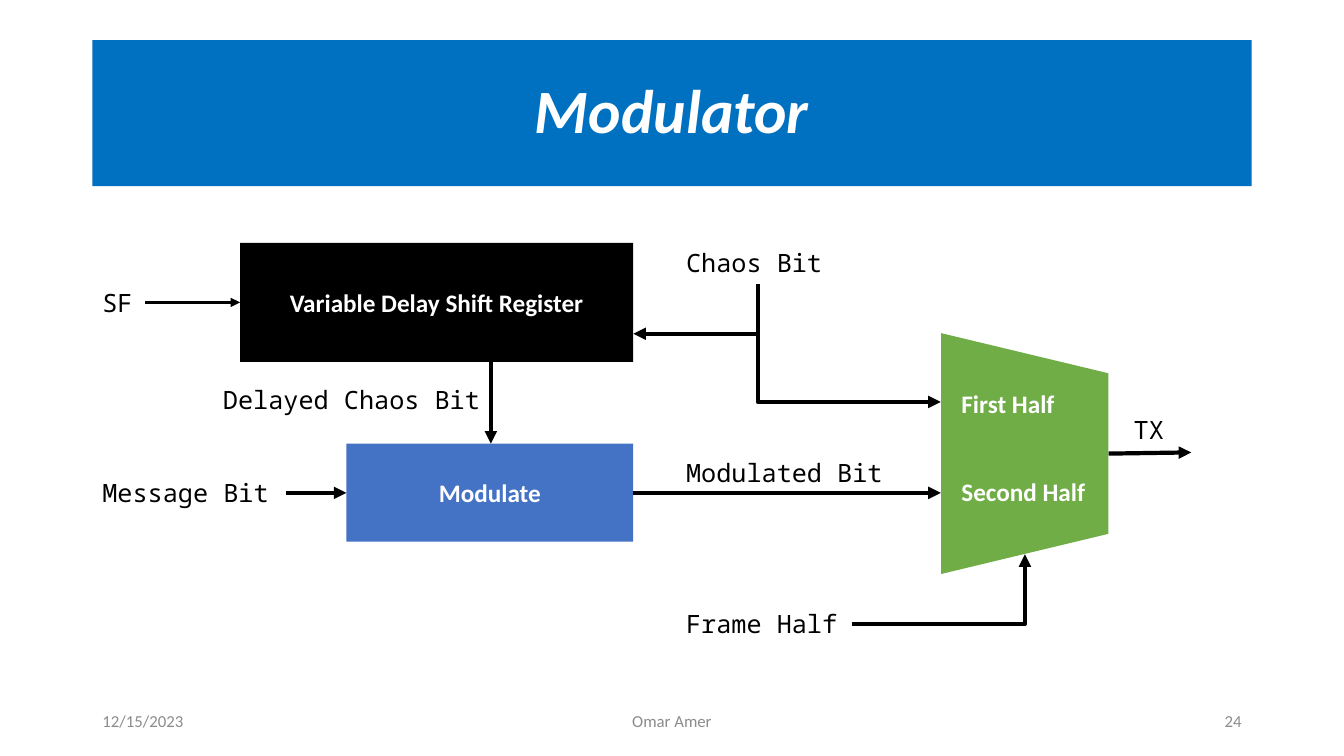
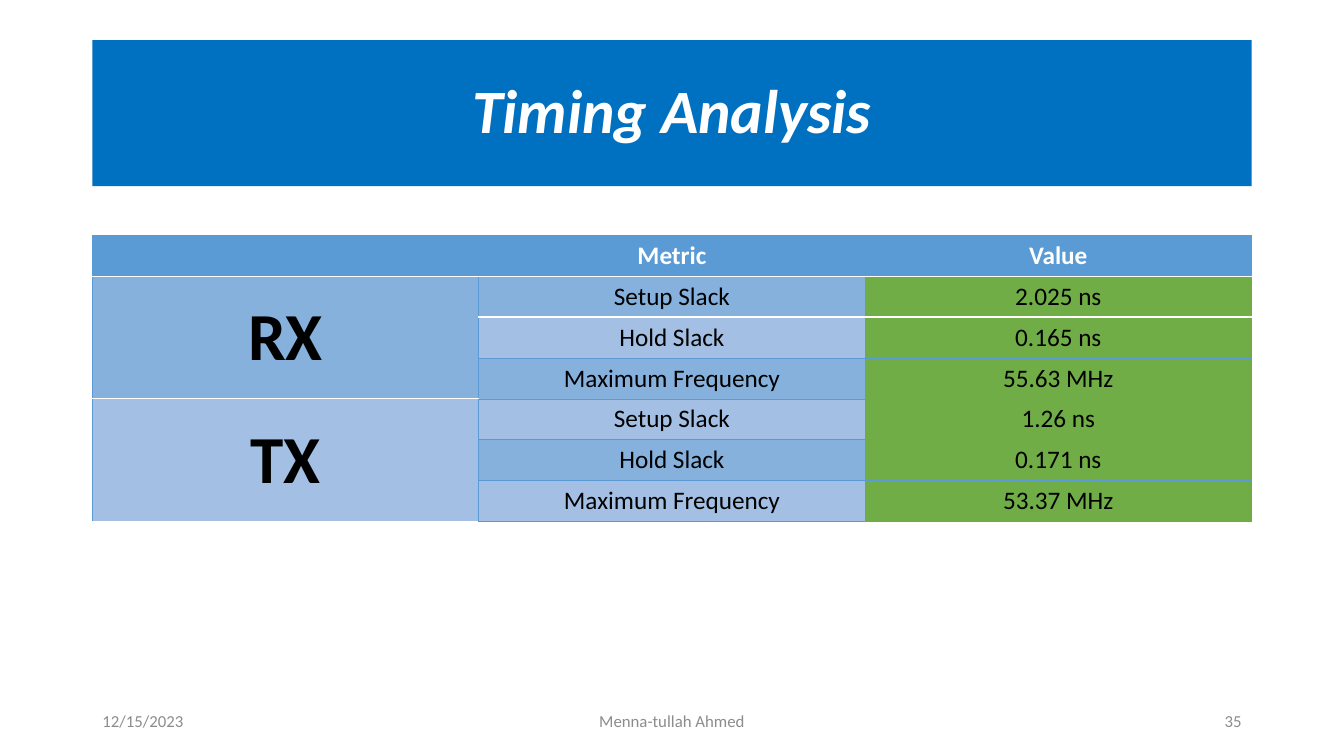
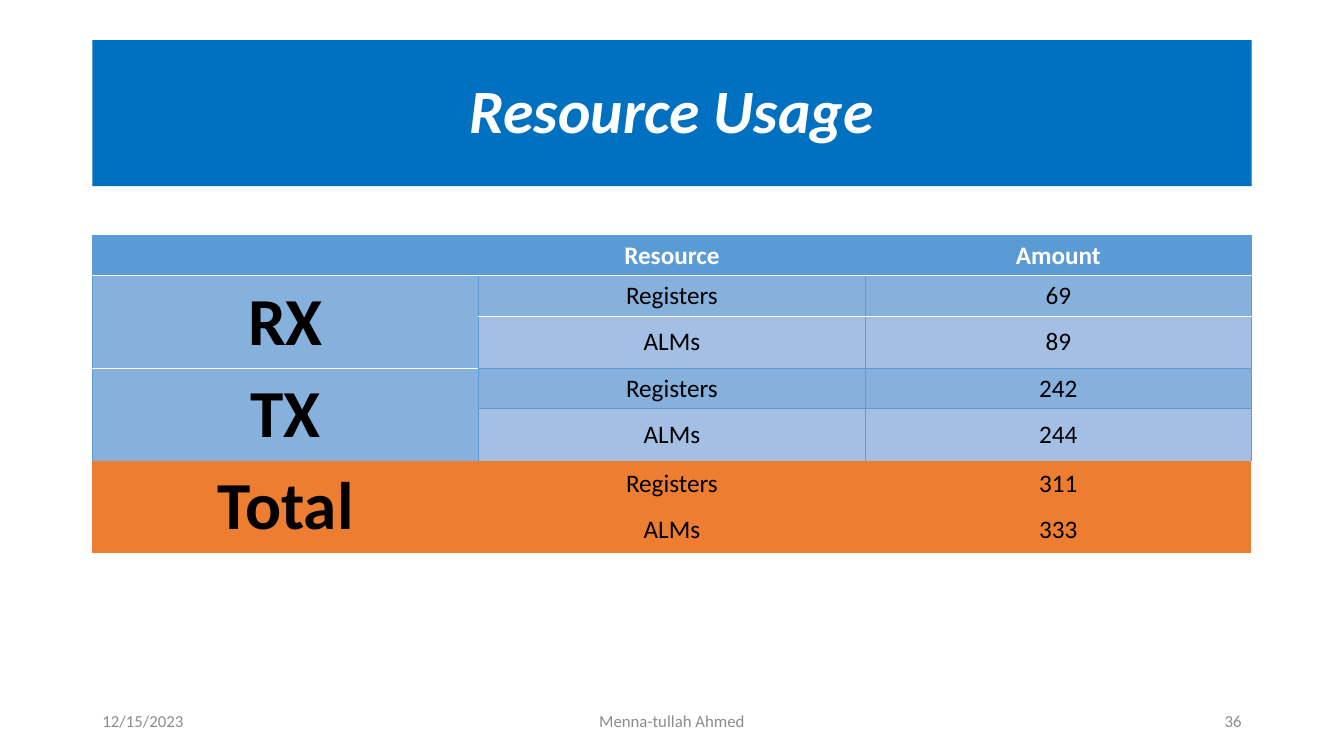
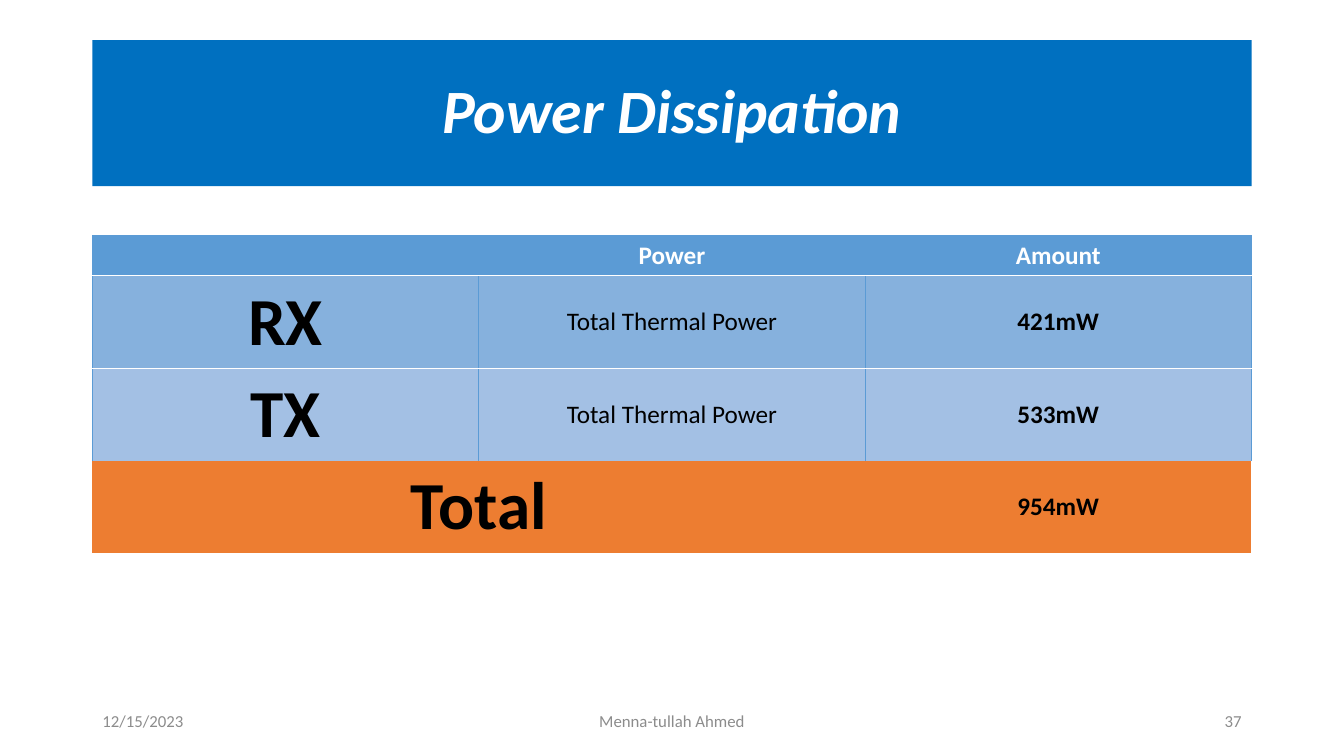
from dataclasses import dataclass
from typing import Optional

from lxml.etree import SubElement
from pptx import Presentation
from pptx.dml.color import RGBColor
from pptx.enum.shapes import MSO_CONNECTOR as Connector, MSO_SHAPE as Preset
from pptx.enum.text import MSO_ANCHOR as Anchor, PP_ALIGN as Align
from pptx.oxml.ns import qn
from pptx.util import Cm, Pt

BLACK = "000000"
WHITE = "FFFFFF"
GREY = "8C8C8C"
TITLE_BLUE = "0070C0"
MODULATE_BLUE = "4472C4"
GREEN = "70AD47"
ORANGE = "ED7D31"
HEADER_BLUE = "5B9BD5"
DARK_BAND = "86B1DD"
LIGHT_BAND = "A3C0E4"

SANS = "Calibri"
MONO = "Noto Sans Mono"
LEFT = 2.33
WIDTH = 29.21
LABEL_HEIGHT = 1.02
DATE = "12/15/2023"


@dataclass(frozen=True)
class Block:
    text: str
    left: float
    top: float
    width: float
    height: float
    fill: str


@dataclass(frozen=True)
class Label:
    text: str
    left: float
    top: float
    width: float


@dataclass(frozen=True)
class Arrow:
    start: tuple[float, float]
    end: tuple[float, float]
    weight: float = 3
    elbow: bool = False
    reverse: bool = False


@dataclass(frozen=True)
class RowGroup:
    name: str
    entries: list[tuple[str, str]]
    total: bool = False


@dataclass(frozen=True)
class TableSlide:
    title: str
    number: int
    headings: tuple[str, str]
    groups: list[RowGroup]
    heights: list[float]
    value_fill: Optional[str] = None
    value_bold: bool = False


def color(value: str) -> RGBColor:
    return RGBColor.from_string(value)


def paint(target, value: str) -> None:
    target.fill.solid()
    target.fill.fore_color.rgb = color(value)


def write(frame, text: str, *, size: float = 18, font: str = SANS,
          ink: str = BLACK, bold: bool = False, italic: bool = False,
          align: Align = Align.LEFT, anchor: Anchor = Anchor.MIDDLE,
          spacing: float = 1.0, wrap: bool = True) -> None:
    frame.word_wrap = wrap
    frame.vertical_anchor = anchor
    paragraph = frame.paragraphs[0]
    paragraph.alignment = align
    paragraph.line_spacing = spacing
    run = paragraph.add_run()
    run.text = text
    run.font.size = Pt(size)
    run.font.name = font
    run.font.bold = bold
    run.font.italic = italic
    run.font.color.rgb = color(ink)


def add_text(shapes, text: str, left: float, top: float, width: float,
             **style) -> None:
    box = shapes.add_textbox(Cm(left), Cm(top), Cm(width), Cm(LABEL_HEIGHT))
    write(box.text_frame, text, **style)


def add_label(shapes, label: Label, **style) -> None:
    add_text(shapes, label.text, label.left, label.top, label.width,
             anchor=Anchor.TOP, wrap=False, **style)


def add_preset(shapes, preset: Preset, block: Block):
    shape = shapes.add_shape(preset, Cm(block.left), Cm(block.top),
                             Cm(block.width), Cm(block.height))
    shape.shadow.inherit = False
    shape.line.fill.background()
    paint(shape, block.fill)
    if block.text:
        write(shape.text_frame, block.text, ink=WHITE, bold=True,
              align=Align.CENTER)
    return shape


def add_arrow(shapes, arrow: Arrow) -> None:
    kind = Connector.ELBOW if arrow.elbow else Connector.STRAIGHT
    connector = shapes.add_connector(
        kind, *(Cm(value) for value in arrow.start + arrow.end))
    connector.line.width = Pt(arrow.weight)
    connector.line.color.rgb = color(BLACK)
    properties = connector._element.spPr
    if arrow.elbow:
        properties.find(qn("a:prstGeom")).set("prst", "bentConnector2")
    tip = "a:headEnd" if arrow.reverse else "a:tailEnd"
    SubElement(properties.find(qn("a:ln")), qn(tip), type="triangle")
    SubElement(properties, qn("a:effectLst"))


def start_slide(presentation, title: str, author: str, number: int):
    slide = presentation.slides.add_slide(presentation.slide_layouts[5])
    band = slide.shapes.title
    band.left, band.top = Cm(LEFT), Cm(1.01)
    band.width, band.height = Cm(WIDTH), Cm(3.68)
    paint(band, TITLE_BLUE)
    write(band.text_frame, title, size=44, ink=WHITE, bold=True, italic=True,
          align=Align.CENTER, spacing=0.9)
    footers = [
        (DATE, LEFT, 7.62, Align.LEFT),
        (author, 11.22, 11.43, Align.CENTER),
        (str(number), 23.92, 7.62, Align.RIGHT),
    ]
    for text, left, width, align in footers:
        add_text(slide.shapes, text, left, 17.66, width, size=12, ink=GREY,
                 align=align)
    return slide


def set_border(cell, side: str, value: Optional[str],
               weight: float = 0.5) -> None:
    line = SubElement(cell._tc.get_or_add_tcPr(), qn(f"a:ln{side}"),
                      w=str(Pt(weight)))
    if value is None:
        SubElement(line, qn("a:noFill"))
    else:
        fill = SubElement(line, qn("a:solidFill"))
        SubElement(fill, qn("a:srgbClr"), val=value)


def style_header(cell) -> None:
    for side in "LRT":
        set_border(cell, side, HEADER_BLUE)
    set_border(cell, "B", WHITE, 1)
    paint(cell, HEADER_BLUE)


def style_body(cell, row: int, last: bool, fill: str) -> None:
    for side in "LR":
        set_border(cell, side, HEADER_BLUE)
    if row == 1:
        set_border(cell, "T", WHITE, 1)
    else:
        set_border(cell, "T", HEADER_BLUE)
    if last:
        set_border(cell, "B", HEADER_BLUE)
    paint(cell, fill)


def style_total(cell) -> None:
    for side in "LRTB":
        set_border(cell, side, None)
    paint(cell, ORANGE)


def add_group(table, group: RowGroup, first: int, content: TableSlide) -> None:
    last_row = len(content.heights) - 1
    end = first + len(group.entries) - 1
    for row, (metric, value) in enumerate(group.entries, first):
        band = DARK_BAND if row % 2 else LIGHT_BAND
        fills = (band, band, content.value_fill or band)
        for column, fill in enumerate(fills):
            cell = table.cell(row, column)
            if group.total:
                style_total(cell)
            else:
                style_body(cell, row, row == last_row, fill)
        if metric:
            write_cell(table.cell(row, 1), metric)
        write_cell(table.cell(row, 2), value, bold=content.value_bold)
    name_cell = table.cell(first, 0)
    name_end = table.cell(end, 0 if group.entries[0][0] else 1)
    if (first, 0) != (end, 0 if group.entries[0][0] else 1):
        name_cell.merge(name_end)
    if end > first and not group.total:
        paint(table.cell(end, 0), DARK_BAND if first % 2 else LIGHT_BAND)
    write_cell(name_cell, group.name, size=48, bold=True)


def write_cell(cell, text: str, **style) -> None:
    write(cell.text_frame, text, align=Align.CENTER, **style)
    cell.vertical_anchor = Anchor.MIDDLE


def build_table_slide(presentation, content: TableSlide) -> None:
    slide = start_slide(presentation, content.title, "Menna-tullah Ahmed",
                        content.number)
    frame = slide.shapes.add_table(
        len(content.heights), 3, Cm(LEFT), Cm(5.93), Cm(WIDTH),
        Cm(sum(content.heights)))
    table = frame.table
    for row, height in zip(table.rows, content.heights):
        row.height = Cm(height)
    for column, heading in enumerate(("", *content.headings)):
        cell = table.cell(0, column)
        style_header(cell)
        if heading:
            write_cell(cell, heading, ink=WHITE, bold=True)
    first = 1
    for group in content.groups:
        add_group(table, group, first, content)
        first += len(group.entries)


def build_modulator(presentation) -> None:
    shapes = start_slide(presentation, "Modulator", "Omar Amer", 24).shapes
    blocks = [
        Block("Variable Delay Shift Register", 6.05, 6.12, 9.91, 3, BLACK),
        Block("Modulate", 8.73, 11.18, 7.23, 2.47, MODULATE_BLUE),
    ]
    for block in blocks:
        add_preset(shapes, Preset.RECTANGLE, block)

    multiplexer = shapes.add_group_shape().shapes
    trapezoid = add_preset(multiplexer, Preset.TRAPEZOID,
                           Block("", 22.79, 9.32, 6.07, 4.22, GREEN))
    trapezoid.rotation = 90
    trapezoid.adjustments[0] = 0.24
    for label in (Label("First Half", 23.98, 9.66, 3.1),
                  Label("Second Half", 23.98, 11.89, 4.22)):
        add_label(multiplexer, label, ink=WHITE, bold=True)

    signals = [
        Label("SF", LEFT, 7.11, 1.32),
        Label("Message Bit", LEFT, 11.91, 4.87),
        Label("Delayed Chaos Bit", 5.37, 9.57, 7.24),
        Label("Chaos Bit", 17.04, 6.12, 4.09),
        Label("Modulated Bit", 17.04, 11.4, 5.59),
        Label("Frame Half", 17.04, 15.21, 4.42),
        Label("TX", 28.32, 10.31, 1.7),
    ]
    for signal in signals:
        add_label(shapes, signal, font=MONO)

    arrows = [
        Arrow((3.66, 7.62), (6.05, 7.62), weight=2.25),
        Arrow((12.37, 9.12), (12.37, 11.18)),
        Arrow((7.2, 12.42), (8.73, 12.42)),
        Arrow((15.96, 12.42), (23.71, 12.42)),
        Arrow((19.1, 8.41), (15.96, 8.41)),
        Arrow((27.94, 11.43), (30.02, 11.4)),
        Arrow((23.71, 10.13), (19.1, 7.16), elbow=True, reverse=True),
        Arrow((21.46, 15.72), (25.83, 13.97), elbow=True),
    ]
    for arrow in arrows:
        add_arrow(shapes, arrow)


def resources(registers: int, modules: int) -> list[tuple[str, str]]:
    return [("Registers", str(registers)), ("ALMs", str(modules))]


def timing(setup: str, hold: str, frequency: str) -> list[tuple[str, str]]:
    return [("Setup Slack", f"{setup} ns"), ("Hold Slack", f"{hold} ns"),
            ("Maximum Frequency", f"{frequency} MHz")]


TABLE_SLIDES = [
    TableSlide(
        "Timing Analysis", 35, ("Metric", "Value"),
        [RowGroup("RX", timing("2.025", "0.165", "55.63")),
         RowGroup("TX", timing("1.26", "0.171", "53.37"))],
        [1.03] * 7, value_fill=GREEN),
    TableSlide(
        "Resource Usage", 36, ("Resource", "Amount"),
        [RowGroup("RX", resources(69, 89)),
         RowGroup("TX", resources(242, 244)),
         RowGroup("Total", resources(311, 333), total=True)],
        [1.02, 1.02, 1.31, 1.02, 1.31, 1.16, 1.16]),
    TableSlide(
        "Power Dissipation", 37, ("Power", "Amount"),
        [RowGroup("RX", [("Total Thermal Power", "421mW")]),
         RowGroup("TX", [("Total Thermal Power", "533mW")]),
         RowGroup("Total", [("", "954mW")], total=True)],
        [1.02] + [2.33] * 3, value_bold=True),
]


def main() -> None:
    presentation = Presentation()
    presentation.slide_width = Cm(33.87)
    presentation.slide_height = Cm(19.05)
    build_modulator(presentation)
    for content in TABLE_SLIDES:
        build_table_slide(presentation, content)
    presentation.save("out.pptx")


main()
